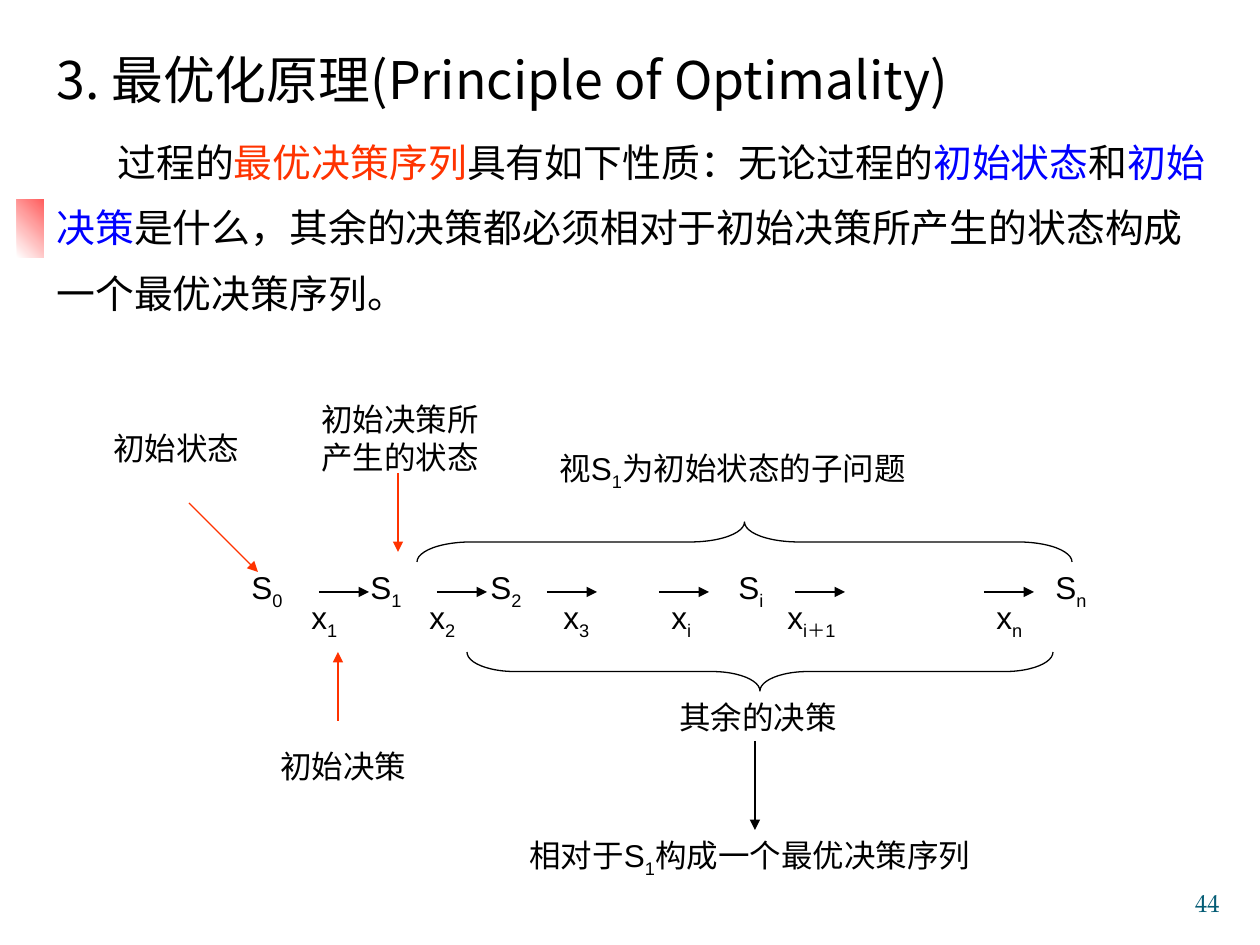
from dataclasses import dataclass

from pptx import Presentation
from pptx.dml.color import RGBColor
from pptx.enum.shapes import MSO_CONNECTOR, MSO_SHAPE
from pptx.enum.text import MSO_ANCHOR, PP_ALIGN
from pptx.oxml.ns import qn
from pptx.shapes.autoshape import Shape
from pptx.slide import Slide
from pptx.text.text import _Paragraph, _Run
from pptx.util import Emu, Pt

PX_PER_INCH = 126
BLACK = RGBColor(0x00, 0x00, 0x00)
WHITE = RGBColor(0xFF, 0xFF, 0xFF)
RED = RGBColor(0xFF, 0x00, 0x00)
ORANGE = RGBColor(0xFF, 0x33, 0x00)
BLUE = RGBColor(0x00, 0x00, 0xFF)
TEAL = RGBColor(0x04, 0x5C, 0x75)
BODY_FONT = "Noto Sans CJK SC"
LABEL_FONT = "Arial"
NUMBER_FONT = "TeX Gyre Pagella"


@dataclass(frozen=True)
class Label:
    """Text whose second piece, if any, is a subscript."""
    left: int
    top: int
    width: int
    height: int
    pieces: tuple[str, ...]


@dataclass(frozen=True)
class Arrow:
    x1: int
    y1: int
    x2: int
    y2: int
    color: RGBColor = BLACK


@dataclass(frozen=True)
class Brace:
    """Horizontal brace; curl is the width of each quarter curve."""
    left: int
    top: int
    width: int
    height: int
    rotation: int
    curl: int


STATE_TOP, DECISION_TOP, CHAIN_Y = 562, 592, 592
SYMBOL_WIDTH, SYMBOL_HEIGHT, STEP_LENGTH = 89, 55, 50
STATES = {"0": 239, "1": 358, "2": 478, "i": 726, "n": 1043}
DECISIONS = {"1": 299, "2": 417, "3": 551, "i": 659, "i＋1": 775, "n": 984}
STEP_STARTS = (319, 437, 547, 659, 795, 984)

NOTES = (
    Label(101, 423, 169, 50, ("初始状态",)),
    Label(309, 394, 189, 88, ("初始决策所产生的状态",)),
    Label(547, 443, 397, 55, ("视S", "1", "为初始状态的子问题")),
    Label(268, 741, 169, 50, ("初始决策",)),
    Label(667, 692, 258, 50, ("其余的决策",)),
    Label(517, 830, 507, 55, ("相对于S", "1", "构成一个最优决策序列")),
)
POINTERS = (
    Arrow(189, 503, 258, 572, ORANGE),
    Arrow(398, 473, 398, 552, ORANGE),
    Arrow(338, 721, 338, 652, ORANGE),
    Arrow(755, 741, 755, 830),
)
BRACES = (
    Brace(417, 522, 655, 40, 90, 54),
    Brace(467, 652, 586, 39, 270, 48),
)
PRINCIPLE = (
    ("过程的", BLACK),
    ("最优决策序列", ORANGE),
    ("具有如下性质：无论过程的", BLACK),
    ("初始状态", BLUE),
    ("和", BLACK),
    ("初始决策", BLUE),
    ("是什么，其余的决策都必须相对于初始决策所产生的状态构成一个最优决策序列。", BLACK),
)


def px(length: float) -> Emu:
    return Emu(round(length * 914400 / PX_PER_INCH))


def add_run(paragraph: _Paragraph, text: str, size: float, font: str,
            color: RGBColor = BLACK) -> _Run:
    run = paragraph.add_run()
    run.text = text
    run.font.size = Pt(size)
    run.font.name = font
    run.font.color.rgb = color
    east_asian = run.font._element.makeelement(qn("a:ea"), {"typeface": BODY_FONT})
    run.font._element.find(qn("a:latin")).addnext(east_asian)
    return run


def add_plain_shape(slide: Slide, kind: MSO_SHAPE, left: float, top: float,
                    width: int, height: int) -> Shape:
    shape = slide.shapes.add_shape(kind, px(left), px(top), px(width), px(height))
    shape.shadow.inherit = False
    shape.line.fill.background()
    return shape


def add_label(slide: Slide, label: Label) -> None:
    box = slide.shapes.add_textbox(px(label.left), px(label.top),
                                   px(label.width), px(label.height))
    box.text_frame.word_wrap = True
    for index, piece in enumerate(label.pieces):
        run = add_run(box.text_frame.paragraphs[0], piece, 18, LABEL_FONT)
        if index == 1:
            run.font._element.set("baseline", "-25000")


def add_arrow(slide: Slide, arrow: Arrow) -> None:
    connector = slide.shapes.add_connector(
        MSO_CONNECTOR.STRAIGHT, px(arrow.x1), px(arrow.y1), px(arrow.x2), px(arrow.y2))
    connector.line.color.rgb = arrow.color
    connector.line.width = Pt(0.75)
    line = connector.line._get_or_add_ln()
    line.append(line.makeelement(qn("a:tailEnd"), {"type": "triangle"}))
    line.addnext(line.makeelement(qn("a:effectLst"), {}))


def add_brace(slide: Slide, brace: Brace) -> None:
    """Turn an upright left brace about the centre of its final area."""
    shift = (brace.width - brace.height) / 2
    shape = add_plain_shape(slide, MSO_SHAPE.LEFT_BRACE, brace.left + shift,
                            brace.top - shift, brace.height, brace.width)
    shape.rotation = brace.rotation
    shape.adjustments[0] = brace.curl / brace.height
    shape.fill.background()
    shape.line.color.rgb = BLACK
    shape.line.width = Pt(0.75)


def add_accent(slide: Slide) -> None:
    accent = add_plain_shape(slide, MSO_SHAPE.RECTANGLE, 17, 199, 77, 59)
    accent.fill.gradient()
    accent.fill.gradient_angle = 45
    for stop, position, color in zip(accent.fill.gradient_stops, (0, 1), (WHITE, RED)):
        stop.position = position
        stop.color.rgb = color


def add_body(slide: Slide) -> None:
    body = add_plain_shape(slide, MSO_SHAPE.RECTANGLE, 44, 32, 1188, 357)
    body.fill.solid()
    body.fill.fore_color.rgb = WHITE
    frame = body.text_frame
    frame.word_wrap = True
    frame.vertical_anchor = MSO_ANCHOR.TOP
    heading = frame.paragraphs[0]
    heading.alignment = PP_ALIGN.LEFT
    heading.line_spacing = 1.15
    add_run(heading, "3. 最优化原理(Principle of Optimality)", 29.6, BODY_FONT)
    statement = frame.add_paragraph()
    statement.alignment = PP_ALIGN.LEFT
    statement.line_spacing = 1.4
    statement.space_before = Pt(6)
    statement._p.get_or_add_pPr().set("indent", str(px(61)))
    for text, color in PRINCIPLE:
        add_run(statement, text, 22.2, BODY_FONT, color)


def add_slide_number(slide: Slide) -> None:
    box = slide.shapes.add_textbox(px(970), px(861), px(262), px(63))
    box.text_frame.word_wrap = True
    box.text_frame.vertical_anchor = MSO_ANCHOR.BOTTOM
    number = box.text_frame.paragraphs[0]
    number.alignment = PP_ALIGN.RIGHT
    add_run(number, "44", 14, NUMBER_FONT, TEAL)


def main() -> None:
    presentation = Presentation()
    presentation.slide_width, presentation.slide_height = px(1260), px(945)
    slide = presentation.slides.add_slide(presentation.slide_layouts[6])
    add_accent(slide)
    add_slide_number(slide)
    add_body(slide)
    for symbol, top, lefts in (("S", STATE_TOP, STATES), ("x", DECISION_TOP, DECISIONS)):
        for index, left in lefts.items():
            add_label(slide, Label(left, top, SYMBOL_WIDTH, SYMBOL_HEIGHT, (symbol, index)))
    steps = [Arrow(x, CHAIN_Y, x + STEP_LENGTH, CHAIN_Y) for x in STEP_STARTS]
    for arrow in (*steps, *POINTERS):
        add_arrow(slide, arrow)
    for brace in BRACES:
        add_brace(slide, brace)
    for note in NOTES:
        add_label(slide, note)
    presentation.save("out.pptx")


if __name__ == "__main__":
    main()
